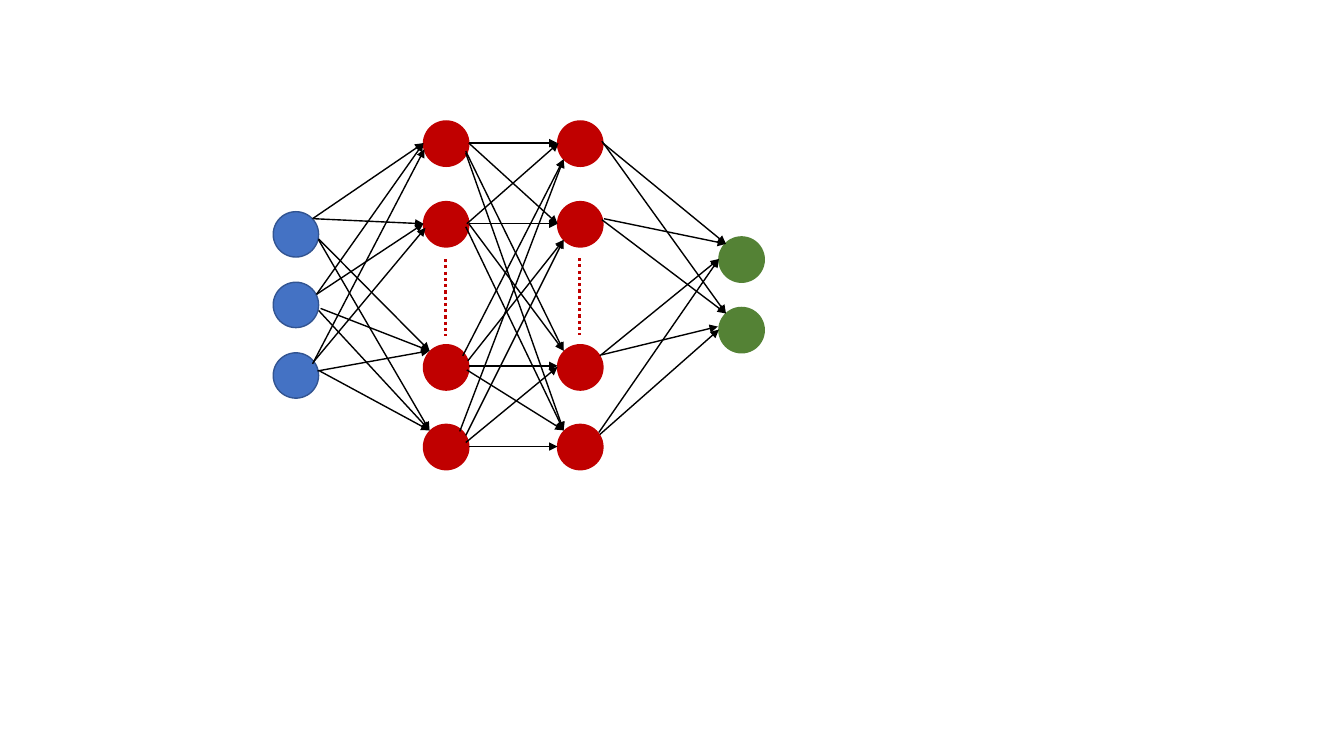
import pptx
import pptx.util
import pptx.dml.color
import pptx.enum.dml
import pptx.enum.shapes
import pptx.oxml.ns
import lxml.etree
from dataclasses import dataclass

Inches = pptx.util.Inches


@dataclass(frozen=True)
class Theme:
    input_fill: str = "4472C4"
    input_line: str = "325491"
    hidden: str = "C00000"
    output: str = "548235"
    arrow: str = "000000"
    thin: float = 1
    dotted: float = 2.25


theme = Theme()
NODE_SIZE = 0.45
HIDDEN_TOPS = (1.2, 2, 3.42, 4.21)

layers = [
    {"left": 2.71, "tops": (2.1, 2.8, 3.5), "fill": theme.input_fill, "line": theme.input_line},
    {"left": 4.2, "tops": HIDDEN_TOPS, "fill": theme.hidden, "line": theme.hidden},
    {"left": 5.53, "tops": HIDDEN_TOPS, "fill": theme.hidden, "line": theme.hidden},
    {"left": 7.13, "tops": (2.35, 3.05), "fill": theme.output, "line": theme.output},
]

input_to_hidden = [
    [(3.1, 2.17, 4.2, 1.42), (3.11, 2.17, 4.2, 2.22),
     (3.16, 2.37, 4.26, 3.48), (3.16, 2.38, 4.26, 4.27)],
    [(3.14, 2.92, 4.2, 1.42), (3.14, 2.92, 4.2, 2.22),
     (3.18, 3.06, 4.26, 3.48), (3.16, 3.08, 4.26, 4.27)],
    [(3.1, 3.61, 4.21, 1.48), (3.11, 3.59, 4.22, 2.26),
     (3.15, 3.68, 4.26, 3.48), (3.17, 3.68, 4.26, 4.27)],
]
hidden_to_hidden = [
    [(4.65, 1.42, 5.53, 1.42), (4.65, 1.42, 5.53, 2.22),
     (4.62, 1.5, 5.59, 3.48), (4.62, 1.52, 5.59, 4.27)],
    [(4.63, 2.22, 5.54, 1.42), (4.65, 2.22, 5.53, 2.22),
     (4.65, 2.22, 5.59, 3.48), (4.62, 2.25, 5.59, 4.27)],
    [(4.59, 3.53, 5.59, 1.58), (4.64, 3.58, 5.59, 2.38),
     (4.65, 3.63, 5.53, 3.63), (4.63, 3.67, 5.59, 4.27)],
    [(4.56, 4.28, 5.59, 1.58), (4.62, 4.32, 5.59, 2.38),
     (4.62, 4.39, 5.53, 3.64), (4.65, 4.43, 5.53, 4.43)],
]
hidden_to_output = [
    [(5.98, 1.42, 7.2, 2.42), (5.97, 1.4, 7.2, 3.11)],
    [(5.99, 2.17, 7.2, 2.42), (5.97, 2.18, 7.2, 3.11)],
    [(5.95, 3.53, 7.13, 2.57), (5.97, 3.52, 7.12, 3.24)],
    [(5.94, 4.29, 7.13, 2.57), (5.95, 4.31, 7.13, 3.27)],
]
omitted_nodes = [(4.42, 2.57, 4.42, 3.33), (5.75, 2.56, 5.75, 3.32)]


def color(value):
    return pptx.dml.color.RGBColor.from_string(value)


def add_node(shapes, left, top, fill, line):
    node = shapes.add_shape(
        pptx.enum.shapes.MSO_SHAPE.OVAL,
        Inches(left), Inches(top), Inches(NODE_SIZE), Inches(NODE_SIZE))
    node.shadow.inherit = False
    node.fill.solid()
    node.fill.fore_color.rgb = color(fill)
    node.line.color.rgb = color(line)
    node.line.width = pptx.util.Pt(theme.thin)


def add_line(shapes, ends, line_color, width, dash=None, arrow=False):
    connector = shapes.add_connector(
        pptx.enum.shapes.MSO_CONNECTOR.STRAIGHT, *map(Inches, ends))
    connector.line.color.rgb = color(line_color)
    connector.line.width = pptx.util.Pt(width)
    if dash:
        connector.line.dash_style = dash
    qualified = pptx.oxml.ns.qn
    properties = connector.element.spPr
    if arrow:
        outline = properties.find(qualified("a:ln"))
        lxml.etree.SubElement(outline, qualified("a:tailEnd"), type="triangle")
    lxml.etree.SubElement(properties, qualified("a:effectLst"))


presentation = pptx.Presentation()
presentation.slide_width = Inches(13.33)
presentation.slide_height = Inches(7.5)
slide = presentation.slides.add_slide(presentation.slide_layouts[6])
network = slide.shapes.add_group_shape().shapes

for layer in layers:
    for top in layer["tops"]:
        add_node(network, layer["left"], top, layer["fill"], layer["line"])

for links in (input_to_hidden, hidden_to_hidden, hidden_to_output):
    for node_links in links:
        for ends in node_links:
            add_line(network, ends, theme.arrow, theme.thin, arrow=True)

for ends in omitted_nodes:
    add_line(network, ends, theme.hidden, theme.dotted,
             dash=pptx.enum.dml.MSO_LINE.ROUND_DOT)

presentation.save("out.pptx")
